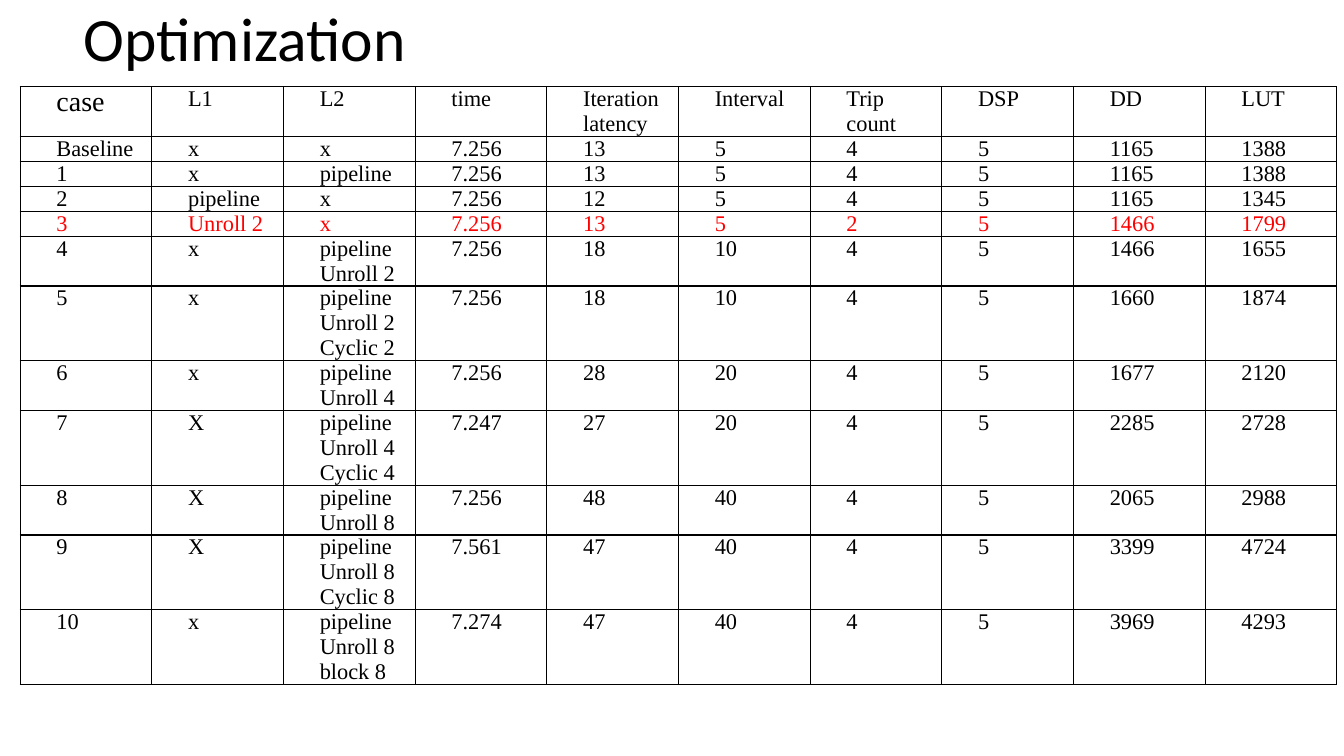
from lxml import etree
from pptx import Presentation
from pptx import util as u
from pptx.dml.color import RGBColor
from pptx.enum import text
from pptx.oxml import ns

BLACK, RED = "000000", "FF0000"
HEAD = ["case", "L1", "L2", "time", "Iteration latency",
        "Interval", "Trip count", "DSP", "DD", "LUT"]
CASES = [
    ["Baseline", "x", "x", "7.256", "13", "5", "4", "5", "1165", "1388"],
    ["1", "x", "pipeline", "7.256", "13", "5", "4", "5", "1165", "1388"],
    ["2", "pipeline", "x", "7.256", "12", "5", "4", "5", "1165", "1345"],
    ["3", "Unroll 2", "x", "7.256", "13", "5", "2", "5", "1466", "1799"],
    ["4", "x", "pipeline\nUnroll 2", "7.256", "18", "10", "4", "5", "1466", "1655"],
    ["5", "x", "pipeline\nUnroll 2\nCyclic 2", "7.256", "18", "10", "4", "5", "1660", "1874"],
    ["6", "x", "pipeline\nUnroll 4", "7.256", "28", "20", "4", "5", "1677", "2120"],
    ["7", "X", "pipeline\nUnroll 4\nCyclic 4", "7.247", "27", "20", "4", "5", "2285", "2728"],
    ["8", "X", "pipeline\nUnroll 8", "7.256", "48", "40", "4", "5", "2065", "2988"],
    ["9", "X", "pipeline\nUnroll 8\nCyclic 8", "7.561", "47", "40", "4", "5", "3399", "4724"],
    ["10", "x", "pipeline\nUnroll 8\nblock 8", "7.274", "47", "40", "4", "5", "3969", "4293"],
]


def style(para, name, size, color):
    for run in para.runs:
        run.font.name = name
        run.font.size = u.Pt(size)
        run.font.color.rgb = RGBColor.from_string(color)


def border(cell):
    props = cell._tc.get_or_add_tcPr()
    for side in ("lnL", "lnR", "lnT", "lnB"):
        line = etree.SubElement(props, ns.qn("a:" + side), w=str(u.Pt(1)))
        fill = etree.SubElement(line, ns.qn("a:solidFill"))
        etree.SubElement(fill, ns.qn("a:srgbClr"), val=BLACK)


prs = Presentation()
prs.slide_width, prs.slide_height = u.Inches(13.33), u.Inches(7.5)
slide = prs.slides.add_slide(prs.slide_layouts[5])

# Title
title = slide.shapes.title
title.left, title.top = u.Inches(0.73), u.Inches(-0.31)
title.width, title.height = u.Inches(11.5), u.Inches(1.45)
title.text_frame.text = "Optimization"
title.text_frame.vertical_anchor = text.MSO_ANCHOR.MIDDLE
para = title.text_frame.paragraphs[0]
para.alignment = text.PP_ALIGN.LEFT
para.line_spacing = 0.9
style(para, "Calibri", 44, BLACK)

# Table: rows grow to fit their text
rows = [HEAD] + CASES
frame = slide.shapes.add_table(
    len(rows), len(HEAD), u.Inches(0.2), u.Inches(0.86),
    u.Inches(13.06), u.Inches(0.04 * len(rows)))
table = frame.table
table.first_row = table.horz_banding = False

# Cells: case 3 stands out in red
for r, row in enumerate(rows):
    for c, value in enumerate(row):
        cell = table.cell(r, c)
        border(cell)
        cell.fill.background()
        cell.margin_left = cell.margin_right = u.Inches(0.03)
        cell.margin_top = cell.margin_bottom = 0
        cell.text_frame.text = value
        for para in cell.text_frame.paragraphs:
            para._p.get_or_add_pPr().set("marL", str(u.Inches(0.33)))
            style(para, "Times New Roman", 20 if value == "case" else 16,
                  RED if row[0] == "3" else BLACK)

prs.save("out.pptx")
